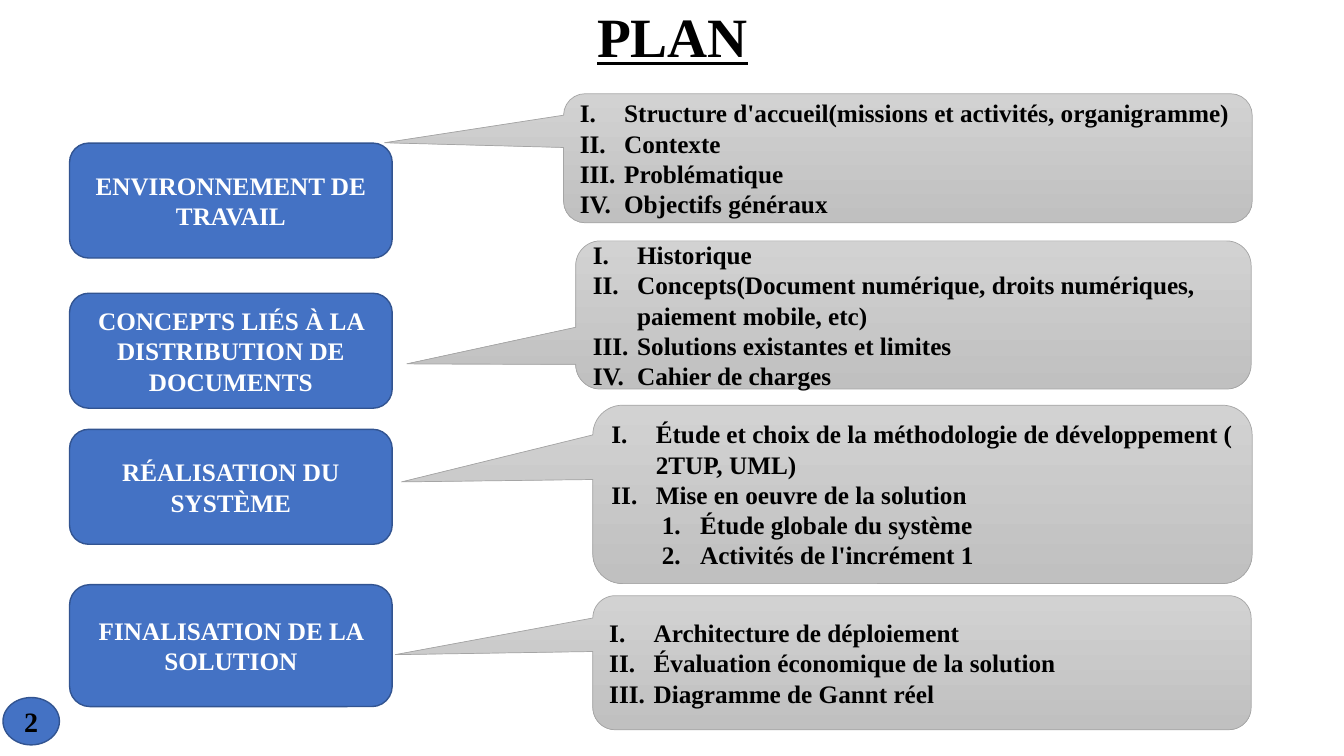
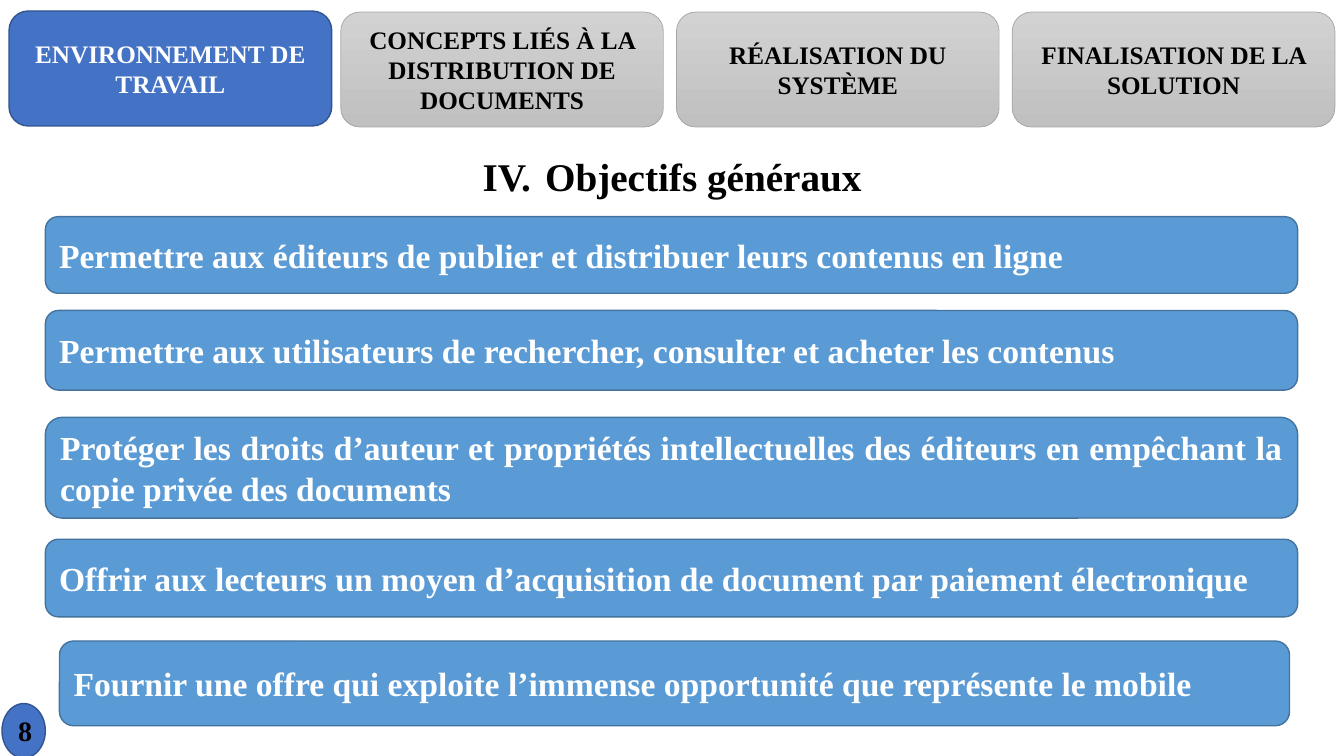
"""Build the plan slide and the general objectives slide."""
from lxml import etree
from pptx import Presentation, util as u
from pptx.dml.color import RGBColor
from pptx.enum import shapes, text
from pptx.oxml.ns import qn

PX = 9144
FORM, ALIGN = shapes.MSO_SHAPE, text.PP_ALIGN
THEME = {
    "font": "Times New Roman",
    "size": {"title": 39.6, "head": 28, "goal": 24, "page": 20, "item": 18},
    "blue": {"fill": ["4472C4"], "line": "325491", "width": 1, "ink": "FFFFFF"},
    "sky": {"fill": ["5B9BD5"], "line": "43739E", "width": 1, "ink": "FFFFFF"},
    "gray": {"fill": ["D2D2D2", "C0C0C0"], "line": "A5A5A5", "width": 0.5, "ink": "000000"},
    "page": {"fill": ["4472C4"], "line": "325491", "width": 1, "ink": "000000"},
    "ink": "000000",
}


def write(shape, rows, size, ink, align, hang=0, start=1):
    """Fill a shape with rows; a hang in px makes them a numbered list."""
    frame = shape.text_frame
    frame.word_wrap = True
    frame.vertical_anchor = text.MSO_ANCHOR.MIDDLE
    for i, row in enumerate(rows):
        para = frame.paragraphs[0] if i == 0 else frame.add_paragraph()
        sub = row.startswith("\t")
        para.text = row.strip()
        para.alignment = align
        if hang:
            para.level = int(sub)
            props = para._p.get_or_add_pPr()
            props.set("marL", str((88 if sub else hang) * PX))
            props.set("indent", str(-(38 if sub else hang) * PX))
            mark = etree.SubElement(props, qn("a:buAutoNum"))
            mark.set("type", "arabicPeriod" if sub else "romanUcPeriod")
            if start > 1:
                mark.set("startAt", str(start))
        para.font.name = THEME["font"]
        para.font.size = u.Pt(THEME["size"][size])
        para.font.bold = True
        para.font.color.rgb = RGBColor.from_string(ink)
    return frame.paragraphs[0]


def draw(slide, form, spot, look, rows, size="item", align=ALIGN.CENTER, hang=0):
    """Add a filled shape with text, its spot given in px."""
    shape = slide.shapes.add_shape(form, *[n * PX for n in spot])
    style = THEME[look]
    shape.shadow.inherit = False
    if len(style["fill"]) > 1:
        shape.fill.gradient()
        shape.fill.gradient_angle = 270
        for stop, tone in zip(shape.fill.gradient_stops, style["fill"]):
            stop.color.rgb = RGBColor.from_string(tone)
    else:
        shape.fill.solid()
        shape.fill.fore_color.rgb = RGBColor.from_string(style["fill"][0])
    shape.line.color.rgb = RGBColor.from_string(style["line"])
    shape.line.width = u.Pt(style["width"])
    write(shape, rows, size, style["ink"], align, hang)
    return shape


deck = Presentation()
deck.slide_width, deck.slide_height = 1333 * PX, 750 * PX
blank = deck.slide_layouts[6]

parts = [
    ("ENVIRONNEMENT DE TRAVAIL", (142, 114), (559, 93, 683, 128), (-0.76, -0.12),
     ["Structure d'accueil(missions et activités, organigramme)", "Contexte",
      "Problématique", "Objectifs généraux"]),
    ("CONCEPTS LIÉS À LA DISTRIBUTION DE DOCUMENTS", (291, 114), (571, 239, 670, 147), (-0.75, 0.33),
     ["Historique", "Concepts(Document numérique, droits numériques, paiement mobile, etc)",
      "Solutions existantes et limites", "Cahier de charges"]),
    ("RÉALISATION DU SYSTÈME", (426, 114), (588, 402, 654, 177), (-0.79, -0.07),
     ["Étude et choix de la méthodologie de développement ( 2TUP, UML)",
      "Mise en oeuvre de la solution", "\tÉtude globale du système",
      "\tActivités de l'incrément 1"]),
    ("FINALISATION DE LA SOLUTION", (580, 121), (588, 591, 653, 133), (-0.8, -0.06),
     ["Architecture de déploiement", "Évaluation économique de la solution",
      "Diagramme de Gannt réel"]),
]

plan = deck.slides.add_slide(blank)
title = plan.shapes.add_textbox(92 * PX, 4 * PX, 1150 * PX, 70 * PX)
para = write(title, ["PLAN"], "title", THEME["ink"], ALIGN.CENTER)
para.font.underline = True
para.line_spacing = 0.9
for name, (top, high), spot, tip, rows in parts:
    draw(plan, FORM.ROUNDED_RECTANGLE, (69, top, 320, high), "blue", [name])
    note = draw(plan, FORM.ROUNDED_RECTANGULAR_CALLOUT, spot, "gray", rows,
                align=ALIGN.LEFT, hang=44)
    note.adjustments[0], note.adjustments[1] = tip
draw(plan, FORM.OVAL, (3, 692, 56, 47), "page", ["2"], "page")

goals = deck.slides.add_slide(blank)
head = goals.shapes.add_textbox(9 * PX, 147 * PX, 1315 * PX, 60 * PX)
para = write(head, ["Objectifs généraux"], "head", THEME["ink"], ALIGN.CENTER, 62, 4)
para.line_spacing = 0.9
for i, part in enumerate(parts):
    spot = (5 + 333 * i, 12, 320, 114) if i else (9, 11, 320, 114)
    draw(goals, FORM.ROUNDED_RECTANGLE, spot, "gray" if i else "blue", [part[0]])
for left, top, wide, high, goal in [
    (45, 215, 1242, 76, "Permettre aux éditeurs de publier et distribuer leurs contenus en ligne"),
    (45, 308, 1242, 79, "Permettre aux utilisateurs de rechercher, consulter et acheter les contenus"),
    (45, 414, 1242, 100, "Protéger les droits d’auteur et propriétés intellectuelles des éditeurs "
                         "en empêchant la copie privée des documents"),
    (45, 535, 1242, 77, "Offrir aux lecteurs un moyen d’acquisition de document par paiement électronique"),
    (59, 636, 1220, 84, "Fournir une offre qui exploite l’immense opportunité que représente le mobile"),
]:
    draw(goals, FORM.ROUNDED_RECTANGLE, (left, top, wide, high), "sky", [goal], "goal", ALIGN.JUSTIFY)
draw(goals, FORM.OVAL, (2, 698, 43, 54), "page", ["8"], "page")

deck.save("out.pptx")
